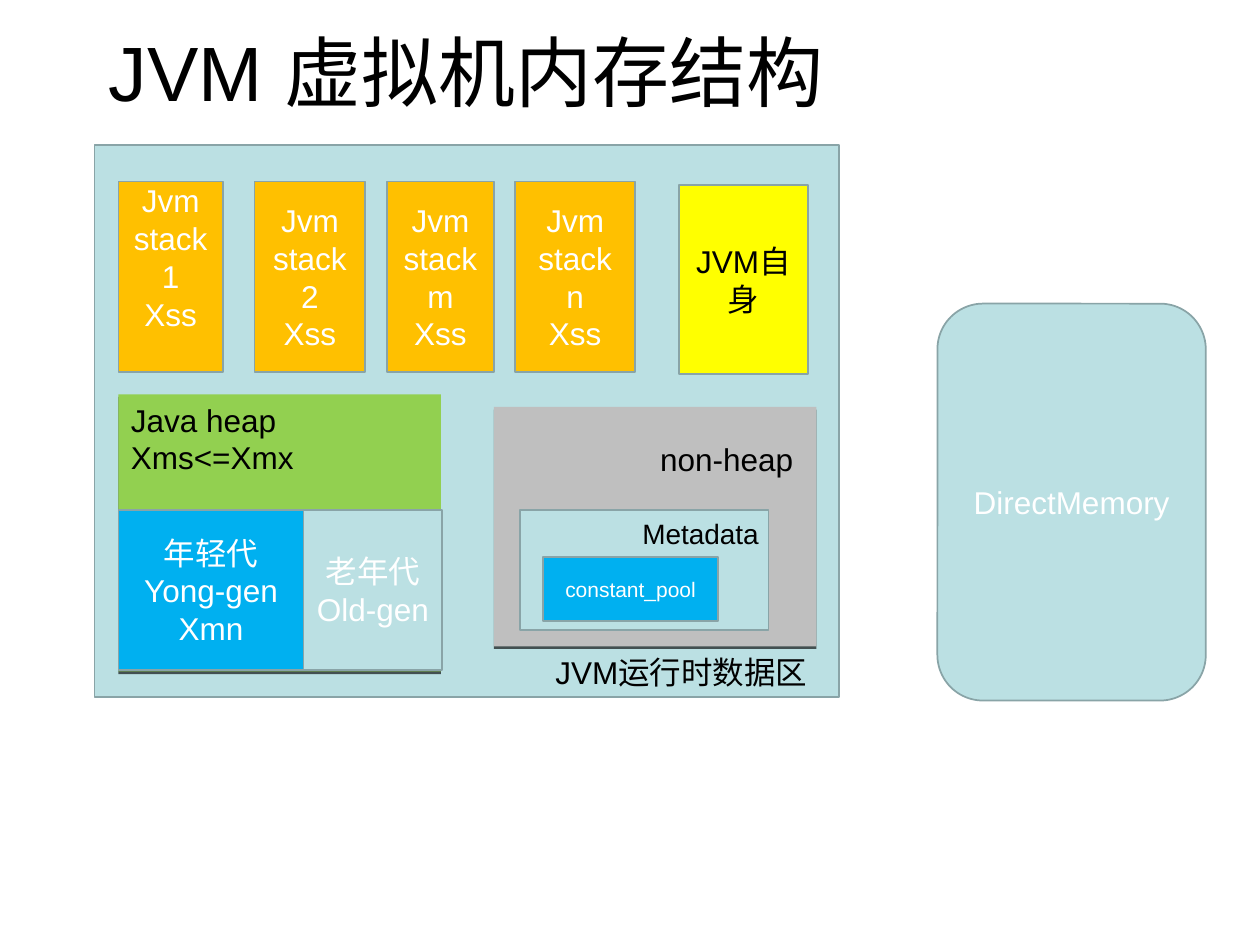
import pptx
import pptx.util
import pptx.dml.color
import pptx.enum.shapes
import pptx.enum.text
import pptx.oxml
import pptx.oxml.ns

Inches = pptx.util.Inches
SHAPES = pptx.enum.shapes.MSO_SHAPE
ANCHOR = pptx.enum.text.MSO_ANCHOR
ALIGN = pptx.enum.text.PP_ALIGN
AUTO_SIZE = pptx.enum.text.MSO_AUTO_SIZE

FONT = "Arial"
PALE, OUTLINE = "BBE0E3", "89A4A7"
ORANGE, BLUE, YELLOW = "FFC000", "00B0F0", "FFFF00"
GREEN, GRAY = "92D050", "BFBFBF"
WHITE, BLACK = "FFFFFF", "000000"


def color(hex_string):
    return pptx.dml.color.RGBColor.from_string(hex_string)


def write_text(shape, lines, size, text_color, align, anchor):
    frame = shape.text_frame
    frame.vertical_anchor = anchor
    for index, line in enumerate(lines):
        paragraph = frame.paragraphs[0] if index == 0 else frame.add_paragraph()
        paragraph.alignment = align
        run = paragraph.add_run()
        run.text = line
        run.font.name = FONT
        run.font.size = pptx.util.Pt(size)
        run.font.color.rgb = color(text_color)
    return frame


def add_block(slide, bounds, fill, lines=(), size=18, text_color=WHITE,
              kind=SHAPES.RECTANGLE, anchor=ANCHOR.MIDDLE):
    """Add an outlined block with centred text."""
    shape = slide.shapes.add_shape(kind, *map(Inches, bounds))
    shape.shadow.inherit = False
    shape.fill.solid()
    shape.fill.fore_color.rgb = color(fill)
    shape.line.color.rgb = color(OUTLINE)
    shape.line.width = pptx.util.Pt(1)
    write_text(shape, lines, size, text_color, ALIGN.CENTER, anchor)
    return shape


def add_shadowed_panel(slide, bounds, fill):
    """Add a panel without outline that casts a thin shadow downwards."""
    panel = add_block(slide, bounds, fill)
    panel.line.fill.background()
    effects = panel._element.spPr.find(pptx.oxml.ns.qn("a:effectLst"))
    effects.append(pptx.oxml.parse_xml(
        f'<a:outerShdw {pptx.oxml.ns.nsdecls("a")} blurRad="0" dist="19050" '
        f'dir="5400000" algn="ctr" rotWithShape="0"><a:srgbClr val="{BLACK}">'
        '<a:alpha val="63000"/></a:srgbClr></a:outerShdw>'))


def add_label(slide, bounds, lines, size=18, wrap=True):
    label = slide.shapes.add_textbox(*map(Inches, bounds))
    frame = write_text(label, lines, size, BLACK, ALIGN.LEFT, ANCHOR.TOP)
    frame.word_wrap = wrap
    frame.auto_size = AUTO_SIZE.SHAPE_TO_FIT_TEXT


def add_title(slide, bounds, text):
    title = slide.shapes.title
    title.left, title.top, title.width, title.height = map(Inches, bounds)
    frame = write_text(title, [text], 44, BLACK, ALIGN.CENTER, ANCHOR.MIDDLE)
    frame.auto_size = AUTO_SIZE.NONE


def add_stacks(slide):
    top, height = 1.44, 1.51
    # The first stack's text starts at the very top of its block
    first = add_block(slide, (0.94, top, 0.83, height), ORANGE,
                      ["Jvm stack 1", "Xss"], anchor=ANCHOR.TOP)
    first.text_frame.margin_top = 0
    for left, width, lines in [
        (2.02, 0.88, ["Jvm stack 2", "Xss"]),
        (3.07, 0.85, ["Jvm stack m", "Xss"]),
        (4.09, 0.95, ["Jvm stack", "n", "Xss"]),
    ]:
        add_block(slide, (left, top, width, height), ORANGE, lines)
    add_block(slide, (5.39, 1.47, 1.02, 1.5), YELLOW, ["JVM自身"],
              text_color=BLACK)


def add_heap(slide):
    add_shadowed_panel(slide, (0.94, 3.13, 2.56, 2.2), GREEN)
    add_block(slide, (0.94, 4.05, 1.47, 1.27), BLUE,
              ["年轻代", "Yong-gen", "Xmn"])
    add_block(slide, (2.41, 4.05, 1.1, 1.27), PALE, ["老年代", "Old-gen"])
    add_label(slide, (0.94, 3.13, 2.56, 0.7), ["Java heap", "Xms<=Xmx"])


def add_non_heap(slide):
    add_shadowed_panel(slide, (3.92, 3.23, 2.56, 1.9), GRAY)
    add_label(slide, (5.14, 3.44, 1.26, 0.4), ["non-heap"])
    add_block(slide, (4.13, 4.05, 1.97, 0.95), PALE)
    add_block(slide, (4.31, 4.42, 1.39, 0.51), BLUE, ["constant_pool"], size=12)
    add_label(slide, (5, 4.05, 1.16, 0.37), ["Metadata"], size=16, wrap=False)


def main():
    presentation = pptx.Presentation()
    presentation.slide_width = Inches(10)
    presentation.slide_height = Inches(7.5)
    slide = presentation.slides.add_slide(presentation.slide_layouts[5])
    add_title(slide, (0.47, 0.17, 6.46, 0.79), "JVM 虚拟机内存结构")

    # Runtime data area and its contents
    add_block(slide, (0.75, 1.15, 5.91, 4.38), PALE)
    add_label(slide, (4.31, 5.13, 2.26, 0.4), ["JVM运行时数据区"], wrap=False)
    add_stacks(slide)
    add_heap(slide)
    add_non_heap(slide)

    # Memory outside the runtime data area
    direct_memory = add_block(slide, (7.44, 2.41, 2.13, 3.15), PALE,
                              ["DirectMemory"], kind=SHAPES.ROUNDED_RECTANGLE)
    direct_memory.adjustments[0] = 0.17

    presentation.save("out.pptx")


if __name__ == "__main__":
    main()
